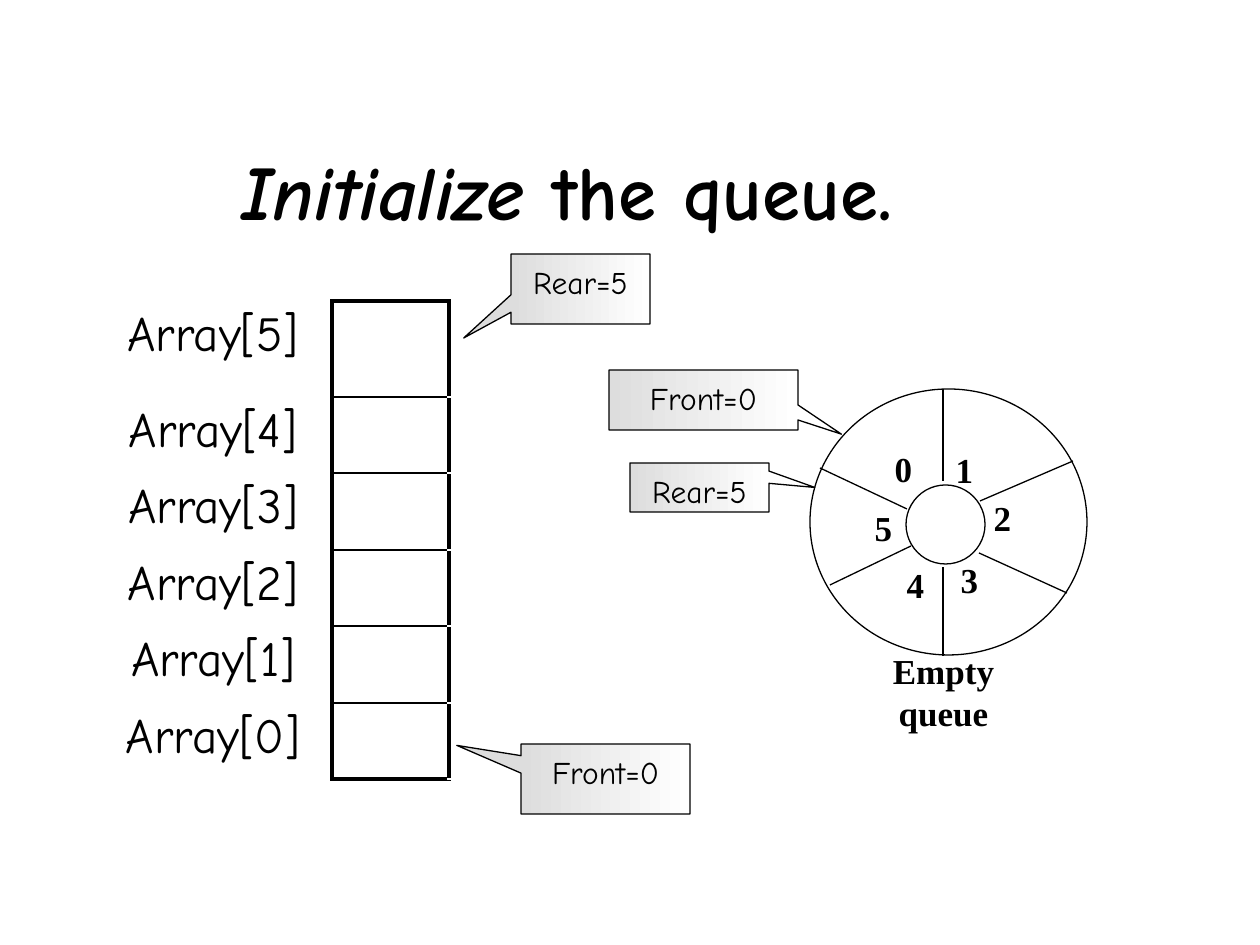
import lxml.etree
import pptx
import pptx.dml.color
import pptx.enum.shapes
import pptx.enum.text
import pptx.oxml.ns
import pptx.util

PX = 914400 / 126
COLORS = {"ink": "000000", "shade": "DDDDDD", "paper": "FFFFFF"}
HAND, SERIF = "Comic Neue", "Times New Roman"
SHAPE = pptx.enum.shapes.MSO_SHAPE
ANCHOR = pptx.enum.text.MSO_ANCHOR
qn = pptx.oxml.ns.qn
rgb = {name: pptx.dml.color.RGBColor.from_string(value) for name, value in COLORS.items()}


def px(*lengths):
    return [round(length * PX) for length in lengths]


def write(frame, runs, **font_format):
    """Fill the first paragraph with centred (text, italic) runs in one font format."""
    paragraph = frame.paragraphs[0]
    paragraph.alignment = pptx.enum.text.PP_ALIGN.CENTER
    for text, italic in runs:
        run = paragraph.add_run()
        run.text = text
        run.font.italic = italic
        run.font.color.rgb = rgb["ink"]
        for attribute, value in font_format.items():
            setattr(run.font, attribute, value)


deck = pptx.Presentation()
deck.slide_width, deck.slide_height = px(1260, 945)
slide = deck.slides.add_slide(deck.slide_layouts[5])

# Title
title = slide.shapes.title
title.left, title.top, title.width, title.height = px(94, 21, 946, 221)
title.text_frame.vertical_anchor = ANCHOR.BOTTOM
write(title.text_frame, [("Initialize ", True), ("the queue.", False)],
      name=HAND, size=pptx.util.Pt(44), bold=True)

# Array drawn as a column of boxes
column_widths = [238, 117, 204]
row_heights = [96, 76, 77, 76, 77, 76]
array_frame = slide.shapes.add_table(
    len(row_heights), len(column_widths),
    *px(94, 301, sum(column_widths), sum(row_heights)))
array = array_frame.table
array.first_row = array.horz_banding = False
for column, width in zip(array.columns, px(*column_widths)):
    column.width = width
for row, height in zip(array.rows, px(*row_heights)):
    row.height = height

last = len(row_heights) - 1
for r in range(len(row_heights)):
    write(array.cell(r, 0).text_frame, [(f"Array[{last - r}]", False)],
          name=HAND, size=pptx.util.Pt(28))
    box_borders = {"lnL": 2.25, "lnR": 2.25,
                   "lnT": 2.25 if r == 0 else 1,
                   "lnB": 2.25 if r == last else 1}
    for c, borders in enumerate([{"lnR": 2.25}, box_borders, {"lnL": 2.25}]):
        cell = array.cell(r, c)
        cell.fill.background()
        properties = cell._tc.get_or_add_tcPr()
        for position, (side, points) in enumerate(borders.items()):
            border = lxml.etree.Element(qn(f"a:{side}"), w=str(pptx.util.Pt(points)))
            solid = lxml.etree.SubElement(border, qn("a:solidFill"))
            lxml.etree.SubElement(solid, qn("a:srgbClr"), val=COLORS["ink"])
            properties.insert(position, border)

# Circular queue
ring = slide.shapes.add_group_shape().shapes
for box in [(906, 485, 79, 79), (810, 389, 277, 266)]:
    circle = ring.add_shape(SHAPE.OVAL, *px(*box))
    circle.shadow.inherit = False
    circle.fill.background()
    circle.line.color.rgb = rgb["ink"]
    circle.line.width = pptx.util.Pt(0.75)

spokes = [(943, 389, 943, 481), (943, 567, 943, 656), (980, 501, 1073, 461),
          (830, 585, 911, 546), (979, 553, 1067, 593), (820, 468, 907, 509)]
for ends in spokes:
    spoke = ring.add_connector(pptx.enum.shapes.MSO_CONNECTOR.STRAIGHT, *px(*ends))
    spoke.line.color.rgb = rgb["ink"]
    spoke.line.width = pptx.util.Pt(0.75)
    lxml.etree.SubElement(spoke._element.spPr, qn("a:effectLst"))

slots = [("1", 940, 450), ("2", 978, 498), ("3", 945, 560),
         ("4", 891, 565), ("5", 859, 508), ("0", 879, 449)]
labels = [(ring, text, (left, top, 49, 40)) for text, left, top in slots]
labels.append((slide.shapes, "Empty queue", (849, 667, 189, 49)))
for parent, text, box in labels:
    frame = parent.add_textbox(*px(*box)).text_frame
    frame.word_wrap = False
    frame.vertical_anchor = ANCHOR.MIDDLE
    write(frame, [(text, False)], name=SERIF, size=pptx.util.Pt(20), bold=True)

# Callouts: text, box, pointer tip relative to the box centre
callouts = [("Rear=5", (511, 254, 139, 70), (-0.84, 0.7)),
            ("Front=0", (521, 744, 169, 70), (-0.88, -0.48)),
            ("Rear=5", (630, 463, 139, 49), (0.83, 0)),
            ("Front=0", (609, 370, 189, 60), (0.73, 0.57))]
for text, box, tip in callouts:
    callout = slide.shapes.add_shape(SHAPE.RECTANGULAR_CALLOUT, *px(*box))
    callout.shadow.inherit = False
    callout.adjustments[0], callout.adjustments[1] = tip
    callout.fill.gradient()
    callout.fill.gradient_angle = 0
    for stop, position, name in zip(callout.fill.gradient_stops, (0, 1), ("shade", "paper")):
        stop.position = position
        stop.color.rgb = rgb[name]
    callout.line.color.rgb = rgb["ink"]
    callout.line.width = pptx.util.Pt(0.75)
    frame = callout.text_frame
    frame.vertical_anchor = ANCHOR.TOP
    frame.margin_top = px(9)[0]
    write(frame, [(text, False)], name=HAND, size=pptx.util.Pt(18))

deck.save("out.pptx")
